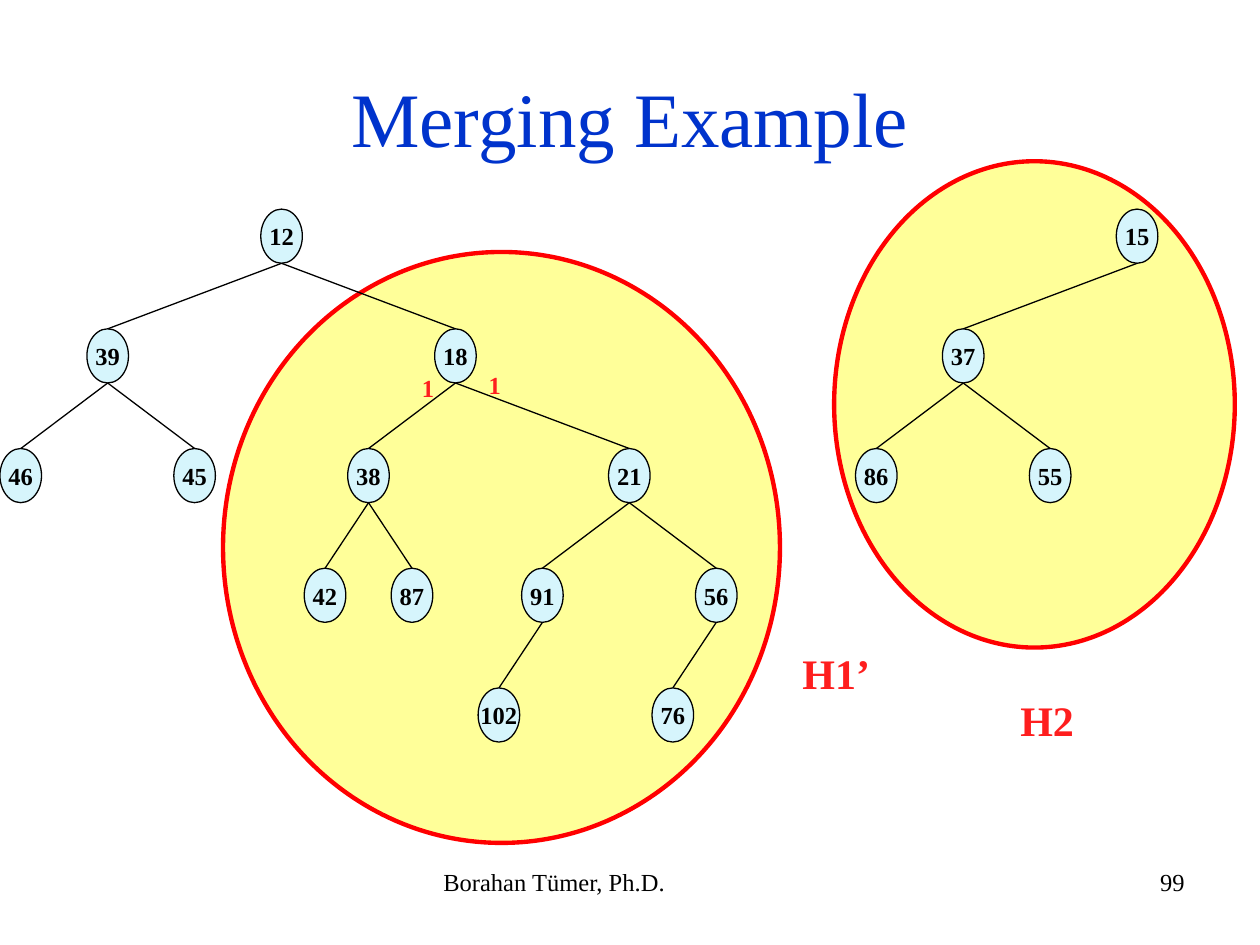
import pptx
import pptx.dml.color
import pptx.enum.shapes
import pptx.enum.text
import pptx.oxml.ns
import pptx.util
from lxml import etree

Inches = pptx.util.Inches
Pt = pptx.util.Pt
ALIGN = pptx.enum.text.PP_ALIGN
ANCHOR = pptx.enum.text.MSO_ANCHOR
SHAPE = pptx.enum.shapes.MSO_SHAPE
FONT = "Times New Roman"
BLACK, BLUE, RED, LABEL_RED = "000000", "0033CC", "FF0000", "FE1E1E"
YELLOW, CYAN = "FFFF99", "D6F5FC"
NODE_W, NODE_H = 0.33, 0.43
COLUMN, ROW = 0.69 / 2, 0.95

# label: (column, row, parent)
H1_NODES = {
    "12": (6, 0, None),
    "39": (2, 1, "12"), "18": (10, 1, "12"),
    "46": (0, 2, "39"), "45": (4, 2, "39"),
    "38": (8, 2, "18"), "21": (14, 2, "18"),
    "42": (7, 3, "38"), "87": (9, 3, "38"),
    "91": (12, 3, "21"), "56": (16, 3, "21"),
    "102": (11, 4, "91"), "76": (15, 4, "56"),
}
H2_NODES = {
    "15": (6, 0, None),
    "37": (2, 1, "15"),
    "86": (0, 2, "37"), "55": (4, 2, "37"),
}


def rgb(value):
    """Turn a hex string into a colour."""
    return pptx.dml.color.RGBColor.from_string(value)


def write(sp, text, size, color=BLACK, bold=False, align=ALIGN.LEFT,
          anchor=ANCHOR.TOP, wrap=True):
    """Put one formatted paragraph into a shape."""
    tf = sp.text_frame
    p = tf.paragraphs[0]
    r = p.add_run()
    r.text = text
    formats = (
        (tf, {"word_wrap": wrap, "vertical_anchor": anchor}),
        (p, {"alignment": align}),
        (r.font, {"name": FONT, "size": Pt(size), "bold": bold}),
    )
    for target, values in formats:
        for name, value in values.items():
            setattr(target, name, value)
    r.font.color.rgb = rgb(color)


def add_text(s, box, text, size, **style):
    """Add a text box."""
    write(s.shapes.add_textbox(*map(Inches, box)), text, size, **style)


def add_ellipse(s, box, fill, line, width):
    """Add a filled and outlined ellipse."""
    sp = s.shapes.add_shape(SHAPE.OVAL, *map(Inches, box))
    sp.shadow.inherit = False
    sp.fill.solid()
    sp.fill.fore_color.rgb = rgb(fill)
    sp.line.color.rgb = rgb(line)
    sp.line.width = Pt(width)
    return sp


def add_edge(s, start, end):
    """Join two points with a thin black line."""
    sp = s.shapes.add_connector(pptx.enum.shapes.MSO_CONNECTOR.STRAIGHT,
                                *map(Inches, (*start, *end)))
    sp.line.color.rgb = rgb(BLACK)
    sp.line.width = Pt(0.75)
    etree.SubElement(sp._element.spPr, pptx.oxml.ns.qn("a:effectLst"))


def add_tree(s, left, top, nodes):
    """Draw a heap whose grid starts at the given corner."""
    corners = {label: (left + column * COLUMN, top + row * ROW)
               for label, (column, row, _) in nodes.items()}
    for label, (x, y) in corners.items():
        sp = add_ellipse(s, (x, y, NODE_W, NODE_H), CYAN, BLACK, 0.75)
        write(sp, label, 14, bold=True, align=ALIGN.CENTER,
              anchor=ANCHOR.MIDDLE, wrap=False)
    for label, (_, _, parent) in nodes.items():
        if parent:
            (px, py), (x, y) = corners[parent], corners[label]
            add_edge(s, (px + NODE_W / 2, py + NODE_H), (x + NODE_W / 2, y))


def add_footer(s, left, top, height):
    """Place the author and the page number."""
    add_text(s, (left, top, 3.17, height), "Borahan Tümer, Ph.D.", 14)
    add_text(s, (left + 3.75, top, 2.33, height), "99", 14, align=ALIGN.RIGHT)


def add_labels(s):
    """Name the heaps and mark the path lengths."""
    for text, left, top in (("H1’", 6.27, 5.09), ("H2", 8, 5.46)):
        add_text(s, (left, top, 0.77, 0.5), text, 24, color=LABEL_RED, bold=True)
    for left, top in ((3.25, 2.91), (3.78, 2.89)):
        add_text(s, (left, top, 0.3, 0.34), "1", 14, color=LABEL_RED,
                 bold=True, wrap=False)


def main():
    """Build the slide and save it."""
    prs = pptx.Presentation()
    prs.slide_width, prs.slide_height = Inches(10), Inches(7.5)
    s = prs.slides.add_slide(prs.slide_layouts[6])
    add_footer(s, 3.42, 6.83, 0.52)
    for box in ((6.62, 1.28, 3.18, 3.86), (1.77, 2, 4.42, 4.69)):
        add_ellipse(s, box, YELLOW, RED, 2.5)
    add_text(s, (0.5, 0.3, 9, 1.25), "Merging Example", 44, color=BLUE,
             align=ALIGN.CENTER, anchor=ANCHOR.MIDDLE)
    add_tree(s, 0, 1.66, H1_NODES)
    add_tree(s, 6.79, 1.66, H2_NODES)
    add_labels(s)
    prs.save("out.pptx")


if __name__ == "__main__":
    main()
